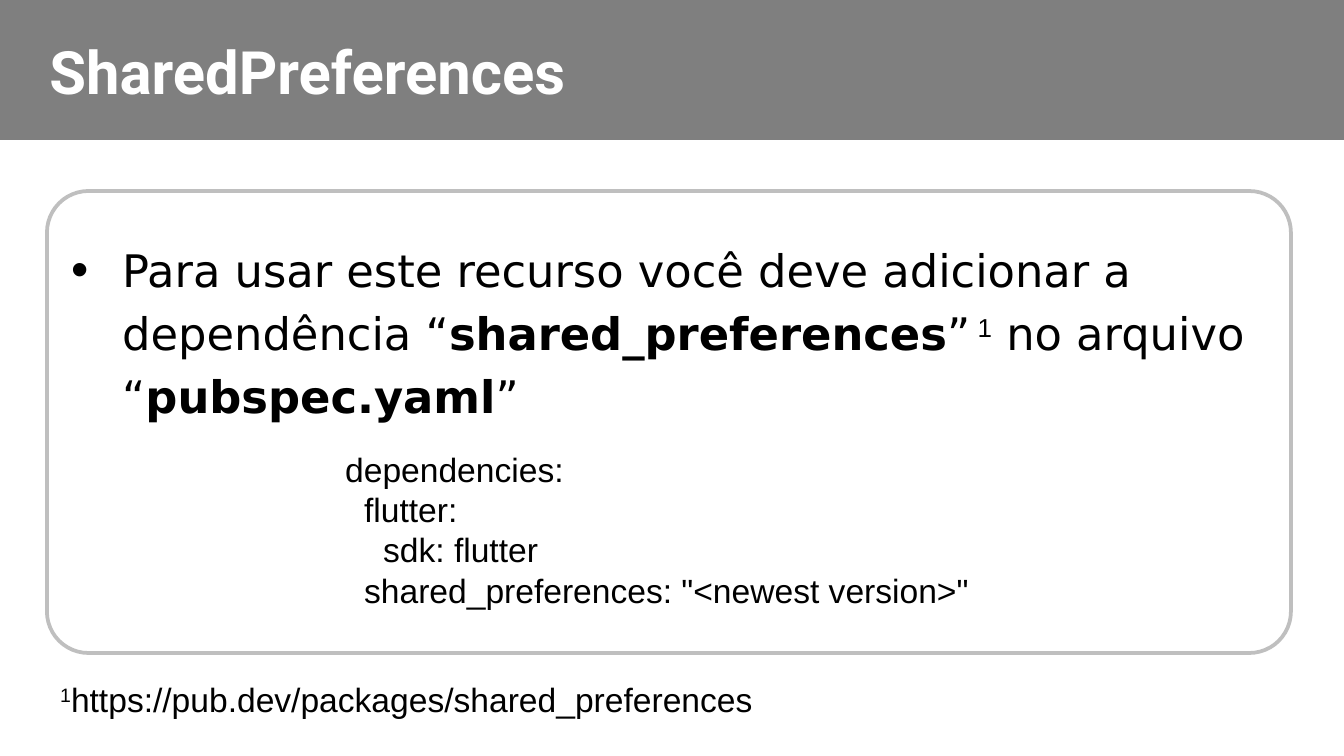
import pptx
import pptx.dml.color
import pptx.enum.shapes
import pptx.enum.text
import pptx.util
from lxml import etree
from pptx.oxml.ns import qn

SHAPES = pptx.enum.shapes.MSO_SHAPE
ANCHOR = pptx.enum.text.MSO_ANCHOR
EMU_PER_PX = 914400 / 134.4


def px(length):
    return pptx.util.Emu(round(length * EMU_PER_PX))


def color(value):
    return pptx.dml.color.RGBColor.from_string(value)


def style_paragraph(para, font, size, ink="000000", bold=False):
    para.alignment = pptx.enum.text.PP_ALIGN.LEFT
    para.font.name = font
    para.font.size = pptx.util.Pt(size)
    para.font.color.rgb = color(ink)
    para.font.bold = bold


def add_span(para, text, bold=None, superscript=False, font=None):
    span = para.add_run()
    span.text = text
    span.font.bold = bold
    span.font.name = font
    if superscript:
        span._r.get_or_add_rPr().set("baseline", "30000")


def indent(para, left, first=0):
    properties = para._p.get_or_add_pPr()
    properties.set("marL", str(px(left)))
    properties.set("indent", str(px(first)))
    return properties


def add_panel(page, kind, left, top, width, height):
    panel = page.shapes.add_shape(kind, px(left), px(top), px(width), px(height))
    panel.shadow.inherit = False
    return panel


def add_text_box(page, left, top, width, height):
    box = page.shapes.add_textbox(px(left), px(top), px(width), px(height))
    box.text_frame.word_wrap = True
    return box.text_frame


def add_header(page):
    band = add_panel(page, SHAPES.RECTANGLE, 0, 0, 1344, 140)
    band.fill.solid()
    band.fill.fore_color.rgb = color("7F7F7F")
    band.line.fill.background()
    title = page.shapes.title
    band._element.addnext(title._element)
    title.left, title.top, title.width, title.height = map(px, (36, 28, 931, 86))
    frame = title.text_frame
    frame.text = "SharedPreferences"
    frame.auto_size = pptx.enum.text.MSO_AUTO_SIZE.NONE
    frame.vertical_anchor = ANCHOR.TOP
    style_paragraph(frame.paragraphs[0], "Roboto", 32, "FFFFFF", True)


def add_frame(page):
    frame = add_panel(page, SHAPES.ROUNDED_RECTANGLE, 47, 191, 1244, 462)
    frame.adjustments[0] = 0.09
    frame.fill.background()
    frame.line.color.rgb = color("BFBFBF")
    frame.line.width = pptx.util.Pt(2)


def add_instruction(page):
    para = add_text_box(page, 58, 226, 1238, 199).paragraphs[0]
    style_paragraph(para, "DejaVu Sans", 24)
    para.line_spacing = pptx.util.Pt(34)
    para.space_before = pptx.util.Pt(3)
    para.space_after = pptx.util.Pt(8)
    properties = indent(para, 51, -51)
    bullet_parts = (
        ("a:buSzPct", {"val": "110000"}),
        ("a:buFont", {"typeface": "Arial"}),
        ("a:buChar", {"char": "•"}),
    )
    position = list(properties).index(properties.find(qn("a:spcAft"))) + 1
    for offset, (tag, values) in enumerate(bullet_parts):
        properties.insert(position + offset, etree.Element(qn(tag), values))
    add_span(para, "Para usar este recurso você deve adicionar a dependência “")
    add_span(para, "shared_preferences", bold=True)
    add_span(para, "”")
    add_span(para, " 1", superscript=True, font="Arial")
    add_span(para, " no arquivo “")
    add_span(para, "pubspec.yaml", bold=True)
    add_span(para, "”")


def add_code(page):
    lines = (
        (0, "dependencies:"),
        (1, "flutter:"),
        (2, "sdk: flutter"),
        (1, 'shared_preferences: "<newest version>"'),
    )
    frame = add_text_box(page, 332, 442, 681, 176)
    for index, (level, text) in enumerate(lines):
        para = frame.add_paragraph() if index else frame.paragraphs[0]
        style_paragraph(para, "Arial", 18)
        indent(para, 19 * level)
        add_span(para, text)


def add_footnote(page):
    para = add_text_box(page, 47, 672, 855, 54).paragraphs[0]
    style_paragraph(para, "Arial", 18)
    add_span(para, "1", superscript=True)
    add_span(para, "https://pub.dev/packages/shared_preferences")


def main():
    deck = pptx.Presentation()
    deck.slide_width, deck.slide_height = px(1344), px(756)
    page = deck.slides.add_slide(deck.slide_layouts[5])
    add_header(page)
    add_instruction(page)
    add_frame(page)
    add_code(page)
    add_footnote(page)
    deck.save("out.pptx")


if __name__ == "__main__":
    main()
